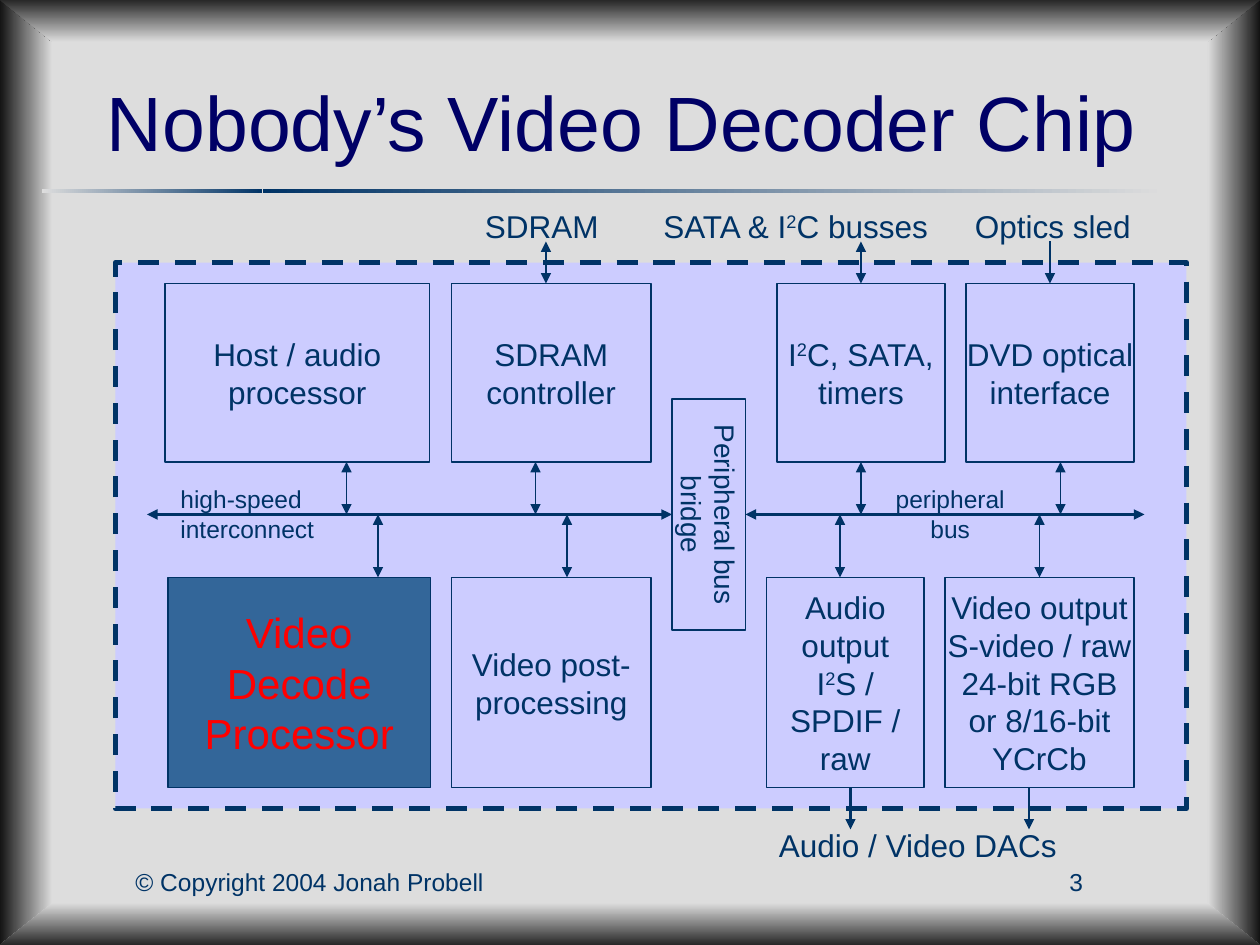
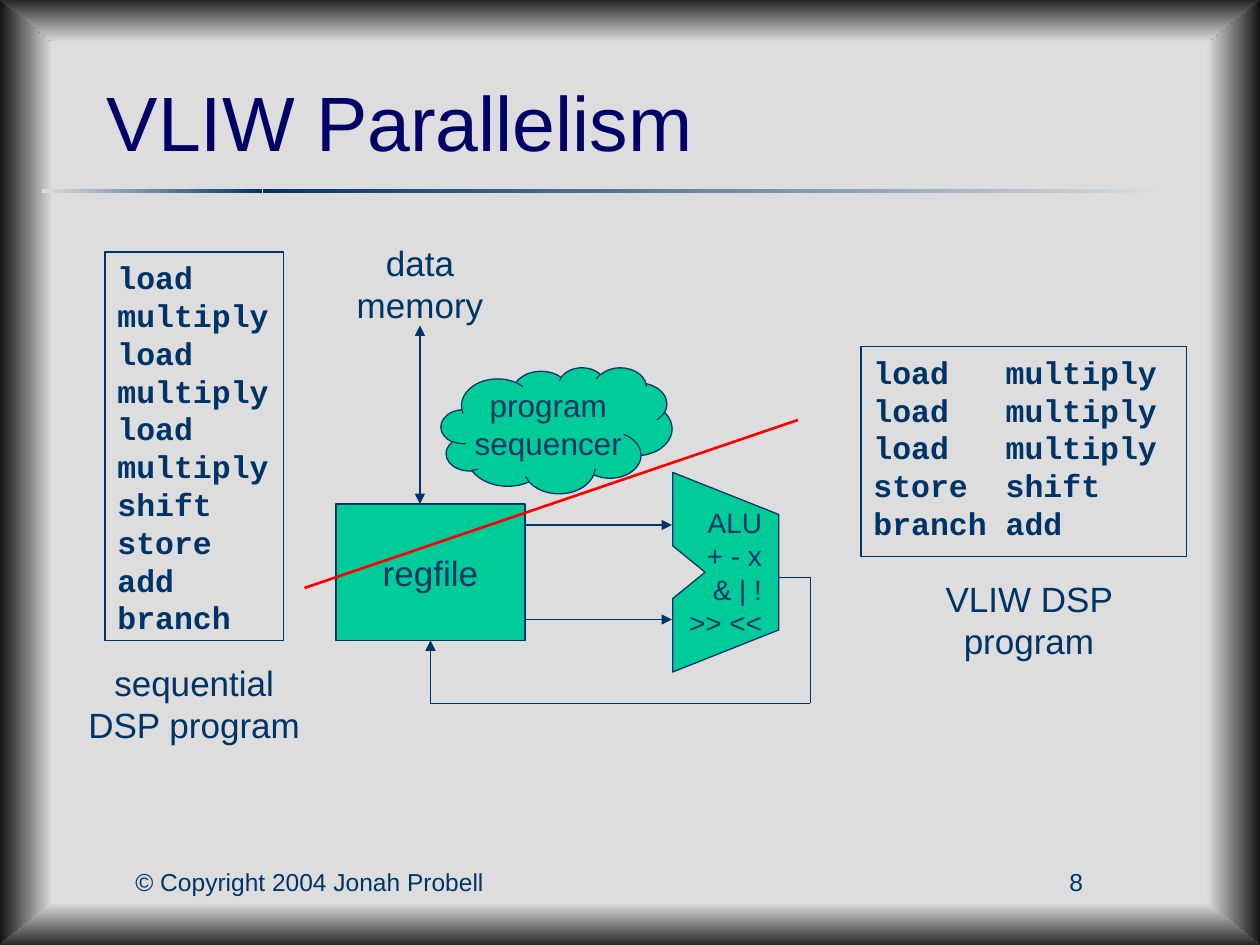
from dataclasses import dataclass
from itertools import pairwise

from lxml.etree import SubElement
from pptx import Presentation
from pptx.dml.color import RGBColor
from pptx.enum.dml import MSO_LINE
from pptx.enum.shapes import MSO_CONNECTOR, MSO_SHAPE
from pptx.enum.text import MSO_ANCHOR as Anchor, PP_ALIGN as Align
from pptx.oxml.ns import qn
from pptx.util import Pt

# Shared look
WIDTH, HEIGHT = 720, 540
PAPER, INK, TITLE_INK = "DDDDDD", "003366", "000066"
LILAC, STEEL, GREEN, RED = "CCCCFF", "336699", "00CC99", "FF0000"
SIDE_SHADE, EDGE_SHADE = "131313", "272727"
SANS, MONO = "Arial", "Courier New"
COPYRIGHT = "© Copyright 2004 Jonah Probell"
TEXT_INSETS, NO_INSETS = (7.2, 3.6, 7.2, 3.6), (0, 0, 0, 0)
LEFTWARD, RIGHTWARD, DOWNWARD = 180, 0, 270


@dataclass
class Block:
    x: float
    y: float
    w: float
    h: float
    text: str = ""
    fill: str | None = None
    size: float = 18
    ink: str = INK
    line: float = 1
    kind: MSO_SHAPE = MSO_SHAPE.RECTANGLE
    insets: tuple = NO_INSETS
    align: Align = Align.CENTER
    anchor: Anchor = Anchor.MIDDLE
    font: str = SANS
    bold: bool = False
    turn: float = 0


@dataclass
class Label:
    x: float
    y: float
    w: float
    h: float
    text: str
    size: float = 18
    ink: str = INK
    align: Align = Align.LEFT
    anchor: Anchor = Anchor.MIDDLE


@dataclass
class Wire:
    x1: float
    y1: float
    x2: float
    y2: float
    weight: float = 0.75
    heads: str = "both"  # "both", "end" or "none"
    ink: str = INK


def colour(value: str) -> RGBColor:
    return RGBColor.from_string(value)


def write(shape, text: str, *, size: float = 18, ink: str = INK, font: str = SANS,
          bold: bool = False, align: Align = Align.LEFT, anchor: Anchor = Anchor.MIDDLE,
          insets: tuple = TEXT_INSETS) -> None:
    """Fill a shape with text; parts between carets are superscript."""
    frame = shape.text_frame
    frame.word_wrap = True
    frame.vertical_anchor = anchor
    (frame.margin_left, frame.margin_top,
     frame.margin_right, frame.margin_bottom) = map(Pt, insets)
    for row, wording in enumerate(text.split("\n")):
        paragraph = frame.paragraphs[0] if row == 0 else frame.add_paragraph()
        paragraph.alignment = align
        for part, piece in enumerate(wording.split("^")):
            run = paragraph.add_run()
            run.text = piece
            run.font.name, run.font.size, run.font.bold = font, Pt(size), bold
            run.font.color.rgb = colour(ink)
            if part % 2:
                run.font._element.set("baseline", "30000")


def paint(shape, fill: str | None, line: float) -> None:
    shape.shadow.inherit = False
    if fill:
        shape.fill.solid()
        shape.fill.fore_color.rgb = colour(fill)
    else:
        shape.fill.background()
    shape.line.color.rgb = colour(INK)
    shape.line.width = Pt(line)


def shade(shape, start: str, end: str, angle: float) -> None:
    shape.shadow.inherit = False
    shape.line.fill.background()
    shape.fill.gradient()
    shape.fill.gradient_angle = angle
    for stop, tone in zip(shape.fill.gradient_stops, (start, end)):
        stop.color.rgb = colour(tone)


def draw_block(slide, block: Block):
    shape = slide.shapes.add_shape(block.kind, *map(Pt, (block.x, block.y, block.w, block.h)))
    shape.rotation = block.turn
    paint(shape, block.fill, block.line)
    if block.text:
        write(shape, block.text, size=block.size, ink=block.ink, font=block.font,
              bold=block.bold, align=block.align, anchor=block.anchor, insets=block.insets)
    return shape


def draw_label(slide, label: Label) -> None:
    box = slide.shapes.add_textbox(*map(Pt, (label.x, label.y, label.w, label.h)))
    write(box, label.text, size=label.size, ink=label.ink,
          align=label.align, anchor=label.anchor)


def draw_wire(slide, wire: Wire) -> None:
    connector = slide.shapes.add_connector(
        MSO_CONNECTOR.STRAIGHT, *map(Pt, (wire.x1, wire.y1, wire.x2, wire.y2)))
    connector.line.color.rgb = colour(wire.ink)
    connector.line.width = Pt(wire.weight)
    ends = {"both": ("a:headEnd", "a:tailEnd"), "end": ("a:tailEnd",), "none": ()}
    for end in ends[wire.heads]:
        SubElement(connector.line._get_or_add_ln(), qn(end), type="triangle")
    SubElement(connector._element.spPr, qn("a:effectLst"))


def draw_outline(slide, corners: list[tuple[float, float]]):
    first, *rest = [(Pt(x), Pt(y)) for x, y in corners]
    builder = slide.shapes.build_freeform(*first)
    builder.add_line_segments(rest, close=True)
    return builder.convert_to_shape()


def start_slide(deck, title: str, number: int):
    slide = deck.slides.add_slide(deck.slide_layouts[6])
    slide.background.fill.solid()
    slide.background.fill.fore_color.rgb = colour(PAPER)

    # Side strips and the rule under the title
    for x, y, w, h, start, end, angle in (
        (0, 0, 30, HEIGHT, SIDE_SHADE, PAPER, RIGHTWARD),
        (WIDTH - 30, 0, 30, HEIGHT, SIDE_SHADE, PAPER, LEFTWARD),
        (24, 108, 126, 2.4, INK, PAPER, LEFTWARD),
        (150, 108, 516, 2.4, INK, PAPER, RIGHTWARD),
    ):
        strip = slide.shapes.add_shape(MSO_SHAPE.RECTANGLE, *map(Pt, (x, y, w, h)))
        shade(strip, start, end, angle)

    # Bevelled top and bottom edges
    for outer, inner, tones in ((0, 24, (EDGE_SHADE, PAPER)),
                                (HEIGHT, HEIGHT - 24, (PAPER, EDGE_SHADE))):
        edge = draw_outline(slide, [(0, outer), (WIDTH, outer),
                                    (WIDTH - 30, inner), (30, inner)])
        shade(edge, *tones, DOWNWARD)

    # Title and footer
    draw_label(slide, Label(54, 30, 612, 78, title, 44, TITLE_INK))
    for x, w, footer in ((54, 246, COPYRIGHT), (564, 102, str(number))):
        draw_label(slide, Label(x, 492, w, 18, footer, 14, align=Align.CENTER,
                                anchor=Anchor.TOP))
    return slide


def build_decoder_chip(deck) -> None:
    slide = start_slide(deck, "Nobody’s Video Decoder Chip", 3)
    chip_top, chip_bottom = 150, 462
    upper, upper_h, bus, lower, lower_h = 162, 102, 294, 330, 120

    chip = draw_block(slide, Block(66, chip_top, 612, chip_bottom - chip_top,
                                   fill=LILAC, line=3))
    chip.line.dash_style = MSO_LINE.DASH

    # Units above and below the two buses
    units = [
        Block(94.3, upper, 151.2, upper_h, "Host / audio processor"),
        Block(258, upper, 114, upper_h, "SDRAM controller"),
        Block(444, upper, 96, upper_h, "I^2^C, SATA, timers"),
        Block(552, upper, 96, upper_h, "DVD optical interface"),
        Block(96, lower, 150, lower_h, "Video Decode Processor", STEEL, 24, RED),
        Block(258, lower, 114, lower_h, "Video post-processing"),
        Block(438, lower, 90, lower_h, "Audio output\nI^2^S / SPDIF / raw"),
        Block(540, lower, 108, lower_h,
              "Video output\nS-video / raw 24-bit RGB or 8/16-bit YCrCb"),
        Block(339, 273, 132, 42, "Peripheral bus bridge", size=16,
              insets=TEXT_INSETS, turn=90),
    ]
    for unit in units:
        draw_block(slide, unit)

    # Buses, their taps and the connections off the chip
    wires = [Wire(84, bus, 384, bus, 2), Wire(426, bus, 654, bus, 2)]
    wires += [Wire(x, upper + upper_h, x, bus) for x in (198, 306, 492, 606)]
    wires += [Wire(x, bus, x, lower) for x in (216, 324, 480, 594)]
    wires += [Wire(x, chip_top - 12, x, upper, 1.5, heads)
              for x, heads in ((312, "both"), (492, "both"), (600, "end"))]
    wires += [Wire(x, lower + lower_h, x, chip_bottom + 12, 1.5, "end") for x in (486, 588)]
    for wire in wires:
        draw_wire(slide, wire)

    labels = [
        Label(270, 120, 90, 18, "SDRAM"),
        Label(372, 120, 180, 18, "SATA & I^2^C busses"),
        Label(550, 120, 107, 18, "Optics sled"),
        Label(438, 474, 198, 18, "Audio / Video DACs"),
        Label(96, 279.5, 96, 28, "high-speed interconnect", 14),
        Label(498, 269.5, 90, 48, "peripheral bus", 14, align=Align.CENTER),
    ]
    for label in labels:
        draw_label(slide, label)


def build_vliw(deck) -> None:
    slide = start_slide(deck, "VLIW Parallelism", 8)

    # Program listings
    sequential = "\n".join(["load\nmultiply"] * 3 + ["shift", "store", "add", "branch"])
    parallel = "\n".join(["load   multiply"] * 3 + ["store  shift", "branch add"])
    for x, y, w, h, code in ((60, 144, 102, 222, sequential),
                             (492, 198, 186, 120, parallel)):
        draw_block(slide, Block(x, y, w, h, code, line=0.75, insets=TEXT_INSETS,
                                align=Align.LEFT, anchor=Anchor.TOP, font=MONO, bold=True))

    for x, y, w, h, caption in ((42, 372, 138, 60, "sequential DSP program"),
                                (186, 138, 108, 48, "data memory"),
                                (528, 324, 120, 60, "VLIW DSP program")):
        draw_label(slide, Label(x, y, w, h, caption, 20, align=Align.CENTER))

    # Processor parts
    draw_block(slide, Block(252, 210, 132, 72, "program sequencer", GREEN, line=0.75,
                            kind=MSO_SHAPE.CLOUD, anchor=Anchor.TOP))
    draw_block(slide, Block(192, 288, 108, 78, "regfile", GREEN, 20, line=0.75,
                            insets=TEXT_INSETS))
    alu = draw_outline(slide, [(384.5, 270), (445, 294), (445, 360), (384.5, 384),
                               (384.5, 342), (403, 327), (384.5, 312)])
    paint(alu, GREEN, 0.75)
    write(alu, "ALU\n+ - x\n& | !\n>> <<", size=16, align=Align.RIGHT, insets=(0, 0, 9.5, 0))

    # Data paths, with the result fed back to the register file
    wires = [Wire(240, 186, 240, 288)]
    wires += [Wire(300, y, 384, y, heads="end") for y in (300, 354)]
    feedback = [(445, 330), (463, 330), (463, 402), (246, 402), (246, 366)]
    wires += [Wire(*start, *end, heads="end" if end == feedback[-1] else "none")
              for start, end in pairwise(feedback)]
    wires.append(Wire(174, 336, 456, 240, 1.5, "none", RED))
    for wire in wires:
        draw_wire(slide, wire)


def main() -> None:
    deck = Presentation()
    deck.slide_width, deck.slide_height = Pt(WIDTH), Pt(HEIGHT)
    build_decoder_chip(deck)
    build_vliw(deck)
    deck.save("out.pptx")


if __name__ == "__main__":
    main()
